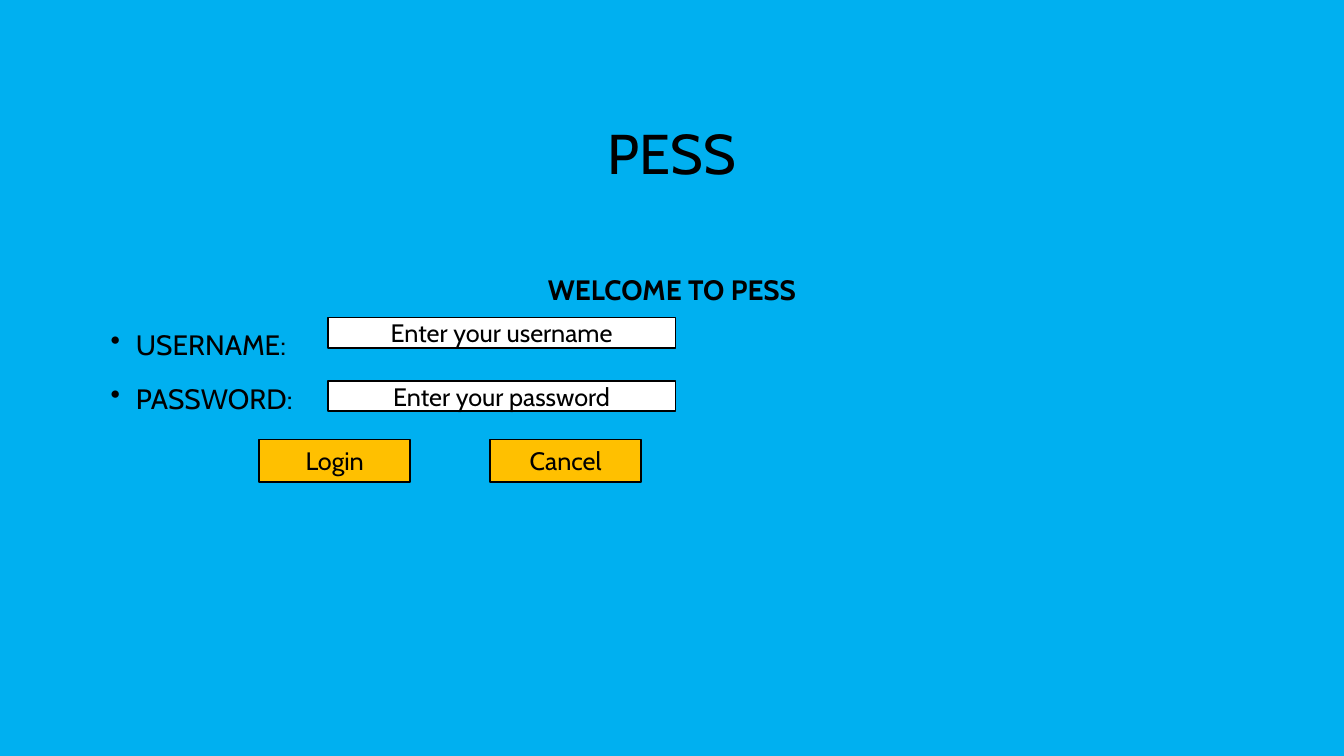
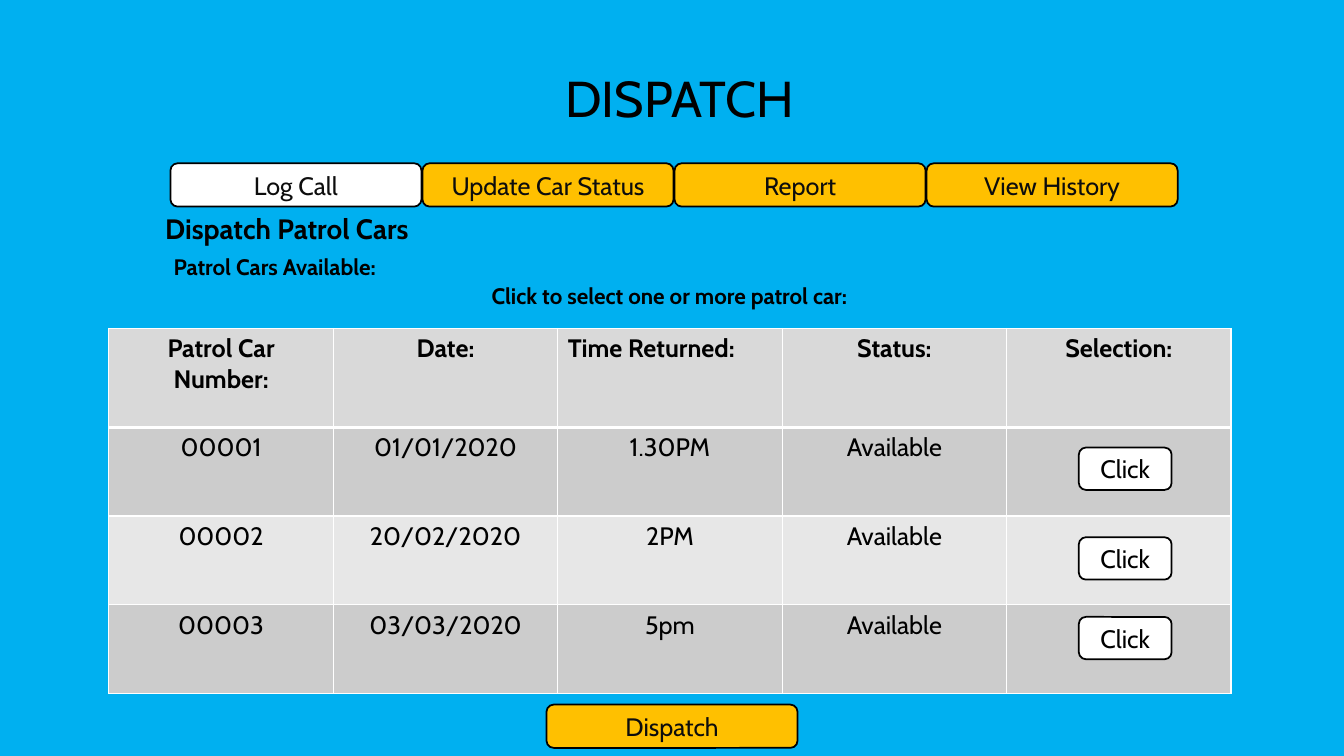
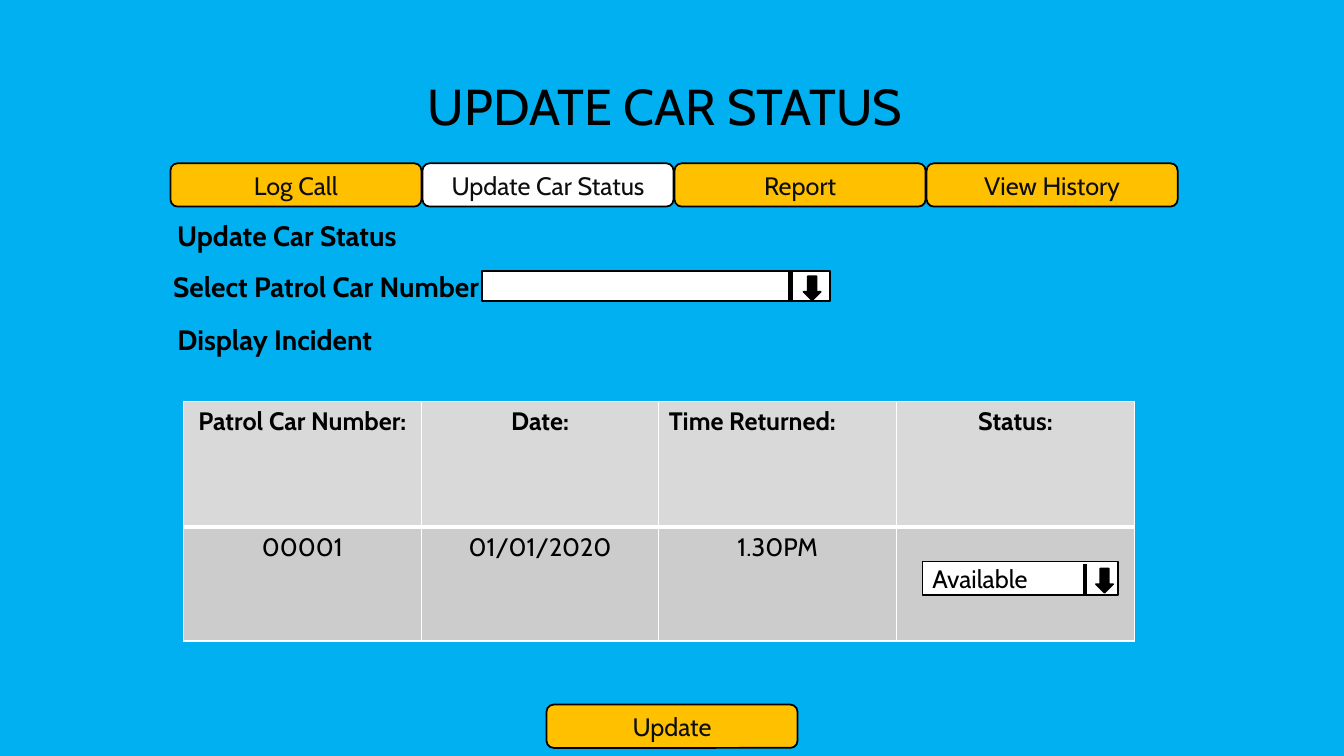
from lxml import etree
from pptx import Presentation
from pptx.dml.color import RGBColor
from pptx.enum.shapes import MSO_CONNECTOR, MSO_SHAPE
from pptx.enum.text import MSO_ANCHOR, PP_ALIGN
from pptx.oxml import parse_xml
from pptx.oxml.ns import nsdecls, qn
from pptx.util import Inches, Pt

SKY = RGBColor(0x00, 0xB0, 0xF0)
AMBER = RGBColor(0xFF, 0xC0, 0x00)
WHITE = RGBColor(0xFF, 0xFF, 0xFF)
BLACK = RGBColor(0x00, 0x00, 0x00)
INK = RGBColor(0x0D, 0x0D, 0x0D)
HEADER_GREY = RGBColor(0xD9, 0xD9, 0xD9)
ROW_GREYS = [RGBColor(0xCC, 0xCC, 0xCC), RGBColor(0xE7, 0xE7, 0xE7)]
FONT = "Cabin"
RECT, ROUND = MSO_SHAPE.RECTANGLE, MSO_SHAPE.ROUNDED_RECTANGLE


def write(tf, text, size=18, bold=False, color=BLACK, align=PP_ALIGN.CENTER,
          spacing=None, before=None, bullet=False):
    """Add one formatted paragraph, reusing the first one while it is empty."""
    p = tf.paragraphs[0] if not tf.text else tf.add_paragraph()
    if bullet:
        pPr = p._p.get_or_add_pPr()
        pPr.set("marL", str(Inches(0.25)))
        pPr.set("indent", str(Inches(-0.25)))
        etree.SubElement(pPr, qn("a:buChar")).set("char", "•")
    p.alignment = align
    if spacing:
        p.line_spacing = spacing
    if before:
        p.space_before = Pt(before)
    r = p.add_run()
    r.text = text
    r.font.name, r.font.size, r.font.bold = FONT, Pt(size), bold
    r.font.color.rgb = color


def add_box(s, left, top, width, height, fill=None, kind=RECT, anchor=MSO_ANCHOR.MIDDLE):
    """Add an outlined shape, or a plain text box without a fill; return its text frame."""
    place = [Inches(v) for v in (left, top, width, height)]
    if fill is None:
        sp = s.shapes.add_textbox(*place)
    else:
        sp = s.shapes.add_shape(kind, *place)
        sp.shadow.inherit = False
        sp.fill.solid()
        sp.fill.fore_color.rgb = fill
        sp.line.color.rgb = BLACK
        sp.line.width = Pt(1.25)
    tf = sp.text_frame
    tf.word_wrap = True
    tf.vertical_anchor = anchor
    return tf


prs = Presentation()
prs.slide_width, prs.slide_height = Inches(13.33), Inches(7.5)

# Slides with background and title
titles = [
    ("PESS", 40, (1, 0.68, 11.33, 1.75)),
    ("DISPATCH", 36, (1.49, 0.43, 10.5, 1.15)),
    ("UPDATE CAR STATUS", 36, (0.93, 0.21, 11.33, 1.75)),
]
slides = []
for title, size, place in titles:
    s = prs.slides.add_slide(prs.slide_layouts[6])
    s.background.fill.solid()
    s.background.fill.fore_color.rgb = SKY
    write(add_box(s, *place), title, size=size, spacing=0.9)
    slides.append(s)
login, dispatch, update = slides

# Login form
tf = add_box(login, 1, 2.59, 11.33, 3.74, anchor=MSO_ANCHOR.TOP)
write(tf, "WELCOME TO PESS", size=20, bold=True, spacing=1.2)
for label in ("USERNAME:", "PASSWORD:"):
    write(tf, label, size=20, align=PP_ALIGN.LEFT, spacing=1.2, before=10, bullet=True)
for top, hint in ((3.15, "Enter your username"), (3.78, "Enter your password")):
    write(add_box(login, 3.25, top, 3.45, 0.3, WHITE), hint)
for left, caption in ((2.57, "Login"), (4.86, "Cancel")):
    write(add_box(login, left, 4.36, 1.5, 0.42, AMBER), caption)

# Navigation tabs and action button
tabs = ["Log Call", "Update Car Status", "Report", "View History"]
for s, active, action in ((dispatch, "Log Call", "Dispatch"),
                          (update, "Update Car Status", "Update")):
    for i, tab in enumerate(tabs):
        fill = WHITE if tab == active else AMBER
        write(add_box(s, 1.69 + 2.5 * i, 1.62, 2.49, 0.43, fill, ROUND), tab, color=INK)
    write(add_box(s, 5.42, 6.99, 2.49, 0.43, AMBER, ROUND), action, color=INK)

# Headings
headings = [
    (dispatch, "Dispatch Patrol Cars", 20, (0.97, 2.05, 3.75, 0.44)),
    (dispatch, "Patrol Cars Available:", 16, (0.85, 2.46, 3.75, 0.37)),
    (dispatch, "Click to select one or more patrol car:", 16, (4.21, 2.75, 4.86, 0.37)),
    (update, "Update Car Status", 20, (0.97, 2.12, 3.75, 0.44)),
    (update, "Select Patrol Car Number", 20, (1.36, 2.62, 3.75, 0.44)),
    (update, "Display Incident", 20, (0.85, 3.15, 3.75, 0.44)),
]
for s, text, size, place in headings:
    write(add_box(s, *place, anchor=MSO_ANCHOR.TOP), text, size=size, bold=True)

# Patrol car tables
columns = ["Patrol Car Number:", "Date:", "Time Returned:", "Status:"]
tables = [
    (dispatch, (1.08, 3.26, 11.13, 3.62), 0.98, 0.88, [
        columns + ["Selection:"],
        ["00001", "01/01/2020", "1.30PM", "Available", ""],
        ["00002", "20/02/2020", "2PM", "Available", ""],
        ["00003", "03/03/2020", "5pm", "Available", ""],
    ]),
    (update, (1.82, 3.98, 9.43, 2.38), 1.25, 1.13, [
        columns,
        ["00001", "01/01/2020", "1.30PM", ""],
    ]),
]
for s, place, header_height, row_height, rows in tables:
    table = s.shapes.add_table(len(rows), len(rows[0]), *[Inches(v) for v in place]).table
    table.first_row = table.horz_banding = False
    for i, row in enumerate(rows):
        table.rows[i].height = Inches(row_height if i else header_height)
        for j, text in enumerate(row):
            cell = table.cell(i, j)
            tcPr = cell._tc.get_or_add_tcPr()
            for side in "LRTB":
                thick = (i, side) in ((0, "B"), (1, "T"))
                tcPr.append(parse_xml(
                    f'<a:ln{side} {nsdecls("a")} w="{Pt(3 if thick else 1)}"><a:solidFill>'
                    f'<a:srgbClr val="{WHITE}"/></a:solidFill></a:ln{side}>'))
            cell.fill.solid()
            cell.fill.fore_color.rgb = ROW_GREYS[(i - 1) % 2] if i else HEADER_GREY
            if text:
                align = PP_ALIGN.LEFT if text == "Time Returned:" else PP_ALIGN.CENTER
                write(cell.text_frame, text, bold=i == 0, align=align)

# Selection buttons
for top in (4.44, 5.33, 6.12):
    write(add_box(dispatch, 10.7, top, 0.92, 0.42, WHITE, ROUND), "Click")

# Drop-down lists: field, divider, arrow
for place, divider, arrow, choice in (
        ((4.78, 2.69, 3.45, 0.3), 7.84, (7.97, 2.74), ""),
        ((9.15, 5.57, 1.94, 0.33), 10.76, (10.87, 5.64), "Available")):
    tf = add_box(update, *place, WHITE)
    if choice:
        write(tf, choice, align=PP_ALIGN.LEFT)
    bottom = place[1] + place[3]
    line = update.shapes.add_connector(MSO_CONNECTOR.STRAIGHT, Inches(divider),
                                       Inches(bottom - 0.3), Inches(divider), Inches(bottom))
    line.line.color.rgb = BLACK
    line.line.width = Pt(3)
    etree.SubElement(line._element.spPr, qn("a:effectLst"))
    add_box(update, *arrow, 0.17, 0.24, BLACK, MSO_SHAPE.DOWN_ARROW)

prs.save("out.pptx")
